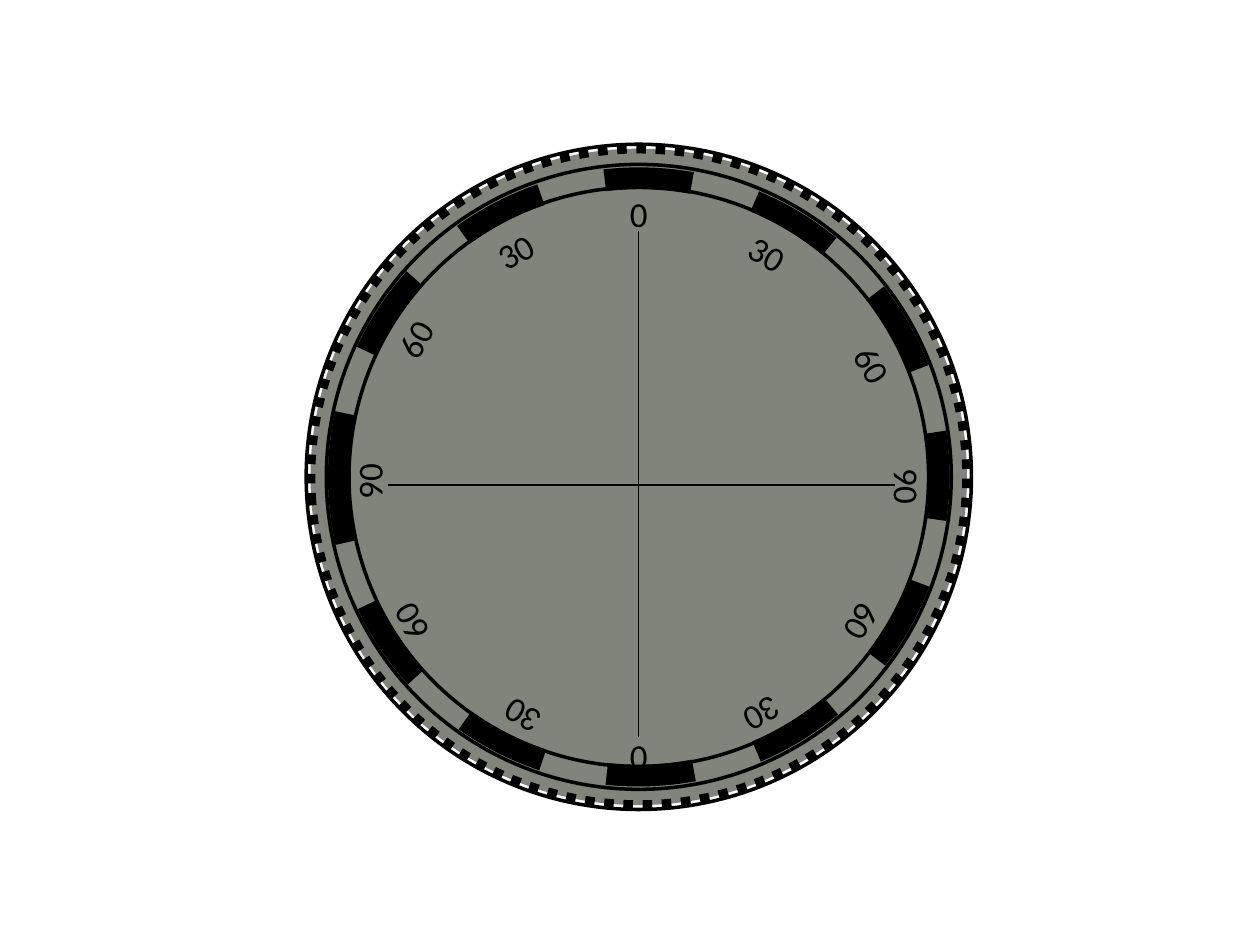
from pptx import Presentation
from pptx.dml.color import RGBColor
from pptx.enum.dml import MSO_LINE_DASH_STYLE as DASH
from pptx.enum.shapes import MSO_CONNECTOR, MSO_SHAPE
from pptx.enum.text import MSO_AUTO_SIZE
from pptx.oxml.ns import qn
from pptx.util import Inches, Pt
from lxml import etree

THEME = {
    "ink": RGBColor(0x00, 0x00, 0x00),
    "dial": RGBColor(0x80, 0x84, 0x7B),
    "font": "Calibri",
    "label": Pt(20),
}

prs = Presentation()
prs.slide_width, prs.slide_height = Inches(10), Inches(7.5)
slide = prs.slides.add_slide(prs.slide_layouts[6])
dial = slide.shapes.add_group_shape().shapes

# Concentric rings: width, height, line width, dash, filled
CX, CY = 5.07, 3.785
TILT = 355.5
rings = [
    (5.21, 5.21, 5.5, DASH.ROUND_DOT, True),
    (4.76, 4.74, 12.5, DASH.DASH, True),
    (4.6, 4.6, 2, None, False),
    (4.96, 4.96, 2, None, False),
    (5.28, 5.28, 2, None, False),
]
for w, h, weight, dash, filled in rings:
    s = dial.add_shape(MSO_SHAPE.OVAL, Inches(CX - w / 2), Inches(CY - h / 2),
                       Inches(w), Inches(h))
    s.rotation = TILT
    s.shadow.inherit = False
    if filled:
        s.fill.solid()
        s.fill.fore_color.rgb = THEME["dial"]
    else:
        s.fill.background()
    s.line.color.rgb = THEME["ink"]
    s.line.width = Pt(weight)
    if dash:
        s.line.dash_style = dash

# Crosshair
for ends in [(5.07, 1.83, 5.07, 5.85), (3.08, 3.85, 7.1, 3.85)]:
    line = dial.add_connector(MSO_CONNECTOR.STRAIGHT, *map(Inches, ends))
    line.line.color.rgb = THEME["ink"]
    line.line.width = Pt(0.75)
    etree.SubElement(line._element.spPr, qn("a:effectLst"))

# Degree labels: text, left, top, rotation
labels = [
    ("0", 4.9, 1.48, 0),
    ("0", 4.9, 5.78, 0),
    ("90", 6.89, 3.71, 90),
    ("90", 2.62, 3.53, 270),
    ("30", 5.84, 1.83, 30),
    ("30", 3.77, 5.44, 210),
    ("30", 5.68, 5.49, 150),
    ("30", 3.84, 1.74, 330),
    ("60", 6.65, 2.74, 60),
    ("60", 6.5, 4.78, 120),
    ("60", 2.91, 4.66, 240),
    ("60", 3.02, 2.41, 300),
]
for text, left, top, angle in labels:
    s = dial.add_textbox(Inches(left), Inches(top), Inches(0.62), Inches(0.44))
    s.rotation = angle
    tf = s.text_frame
    tf.word_wrap = True
    tf.auto_size = MSO_AUTO_SIZE.SHAPE_TO_FIT_TEXT
    r = tf.paragraphs[0].add_run()
    r.text = text
    r.font.name = THEME["font"]
    r.font.size = THEME["label"]
    r.font.color.rgb = THEME["ink"]

prs.save("out.pptx")
